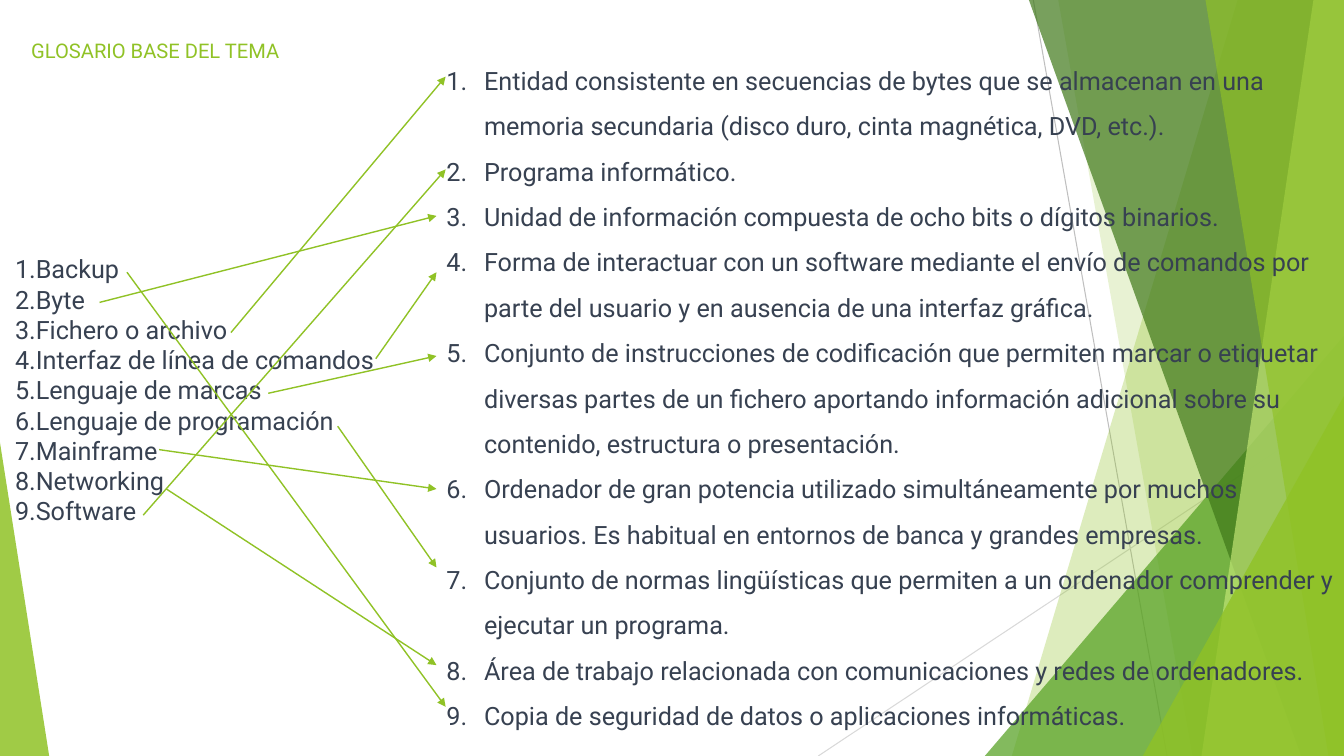
from dataclasses import dataclass
from lxml.etree import SubElement
from pptx import Presentation
from pptx.dml.color import RGBColor
from pptx.enum.shapes import MSO_CONNECTOR, MSO_SHAPE
from pptx.enum.text import MSO_ANCHOR, MSO_AUTO_SIZE, PP_ALIGN
from pptx.oxml.ns import qn
from pptx.util import Cm, Pt

WIDE, HIGH = 33.87, 19.05


@dataclass(frozen=True)
class Theme:
    font: str = "Roboto"
    head: float = 14.4
    body: float = 18
    ink: str = "374151"
    lime: str = "90C226"
    leaf: str = "54A021"
    moss: str = "3F7819"
    pale: str = "C0E474"
    gray: str = "BFBFBF"
    mist: str = "D9D9D9"


class Page:
    def __init__(self, deck, theme):
        self.theme = theme
        self.slide = deck.slides.add_slide(deck.slide_layouts[5])
        self.shapes = self.slide.shapes

    def paint(self, shape, color, alpha):
        shape.shadow.inherit = False
        shape.fill.solid()
        shape.fill.fore_color.rgb = RGBColor.from_string(color)
        tint = shape._element.spPr.find(qn("a:solidFill") + "/" + qn("a:srgbClr"))
        SubElement(tint, qn("a:alpha"), val=str(alpha * 1000))
        shape.line.fill.background()

    def band(self, top, base, color, alpha):
        """Strip from a slanted left edge to the right side of the slide."""
        form = self.shapes.build_freeform(Cm(top), 0)
        ends = [(WIDE, 0), (WIDE, HIGH), (base, HIGH)]
        form.add_line_segments([(Cm(x), Cm(y)) for x, y in ends], close=True)
        self.paint(form.convert_to_shape(), color, alpha)

    def wedge(self, left, top, width, peak, color, alpha):
        """Triangle standing on the bottom of the slide."""
        shape = self.shapes.add_shape(
            MSO_SHAPE.ISOSCELES_TRIANGLE,
            Cm(left), Cm(top), Cm(width), Cm(HIGH - top))
        shape.adjustments[0] = peak
        self.paint(shape, color, alpha)

    def line(self, start, end, color, width, arrow=False):
        line = self.shapes.add_connector(
            MSO_CONNECTOR.STRAIGHT, *[Cm(n) for n in start + end])
        line.line.color.rgb = RGBColor.from_string(color)
        line.line.width = Pt(width)
        props = line._element.spPr
        if arrow:
            SubElement(props.find(qn("a:ln")), qn("a:tailEnd"),
                       type="triangle")
        SubElement(props, qn("a:effectLst"))

    def run(self, para, text, size, color):
        run = para.add_run()
        run.text = text
        run.font.name = self.theme.font
        run.font.size = Pt(size)
        run.font.color.rgb = RGBColor.from_string(color)

    def title(self, text, left, top, width, height):
        box = self.shapes.title
        box.left, box.top = Cm(left), Cm(top)
        box.width, box.height = Cm(width), Cm(height)
        frame = box.text_frame
        frame.auto_size = MSO_AUTO_SIZE.NONE
        frame.vertical_anchor = MSO_ANCHOR.MIDDLE
        para = frame.paragraphs[0]
        para.alignment = PP_ALIGN.LEFT
        self.run(para, text, self.theme.head, self.theme.lime)

    def list(self, items, left, top, width, height, indent=0, space=1):
        box = self.shapes.add_textbox(Cm(left), Cm(top), Cm(width), Cm(height))
        frame = box.text_frame
        frame.word_wrap = True
        for i, item in enumerate(items):
            para = frame.add_paragraph() if i else frame.paragraphs[0]
            props = para._p.get_or_add_pPr()
            props.set("marL", str(Cm(indent)))
            props.set("indent", str(-Cm(indent)))
            SubElement(props, qn("a:buFont"), typeface=self.theme.font)
            SubElement(props, qn("a:buAutoNum"), type="arabicPeriod")
            para.line_spacing = float(space)
            self.run(para, item, self.theme.body, self.theme.ink)


TERMS = [
    "Backup", "Byte", "Fichero o archivo", "Interfaz de línea de comandos",
    "Lenguaje de marcas", "Lenguaje de programación", "Mainframe",
    "Networking", "Software",
]
MEANINGS = [
    "Entidad consistente en secuencias de bytes que se almacenan en una "
    "memoria secundaria (disco duro, cinta magnética, DVD, etc.).",
    "Programa informático.",
    "Unidad de información compuesta de ocho bits o dígitos binarios.",
    "Forma de interactuar con un software mediante el envío de comandos por "
    "parte del usuario y en ausencia de una interfaz gráfica.",
    "Conjunto de instrucciones de codificación que permiten marcar o "
    "etiquetar diversas partes de un fichero aportando información adicional "
    "sobre su contenido, estructura o presentación.",
    "Ordenador de gran potencia utilizado simultáneamente por muchos "
    "usuarios. Es habitual en entornos de banca y grandes empresas.",
    "Conjunto de normas lingüísticas que permiten a un ordenador comprender "
    "y ejecutar un programa.",
    "Área de trabajo relacionada con comunicaciones y redes de ordenadores.",
    "Copia de seguridad de datos o aplicaciones informáticas.",
]
# One arrow per term: start, then end beside its meaning
LINKS = [
    ((3.2, 6.86), (11.23, 17.81)),
    ((2.51, 7.62), (11, 5.44)),
    ((5.82, 8.38), (11.23, 1.93)),
    ((9.47, 9.04), (11, 6.86)),
    ((6.76, 9.91), (11, 8.97)),
    ((8.51, 10.74), (11, 14.3)),
    ((4.01, 11.33), (11, 12.32)),
    ((4.19, 12.32), (11, 16.76)),
    ((3.61, 12.98), (11.23, 4.27)),
]


def main():
    deck = Presentation()
    deck.slide_width, deck.slide_height = Cm(WIDE), Cm(HIGH)
    theme = Theme()
    page = Page(deck, theme)

    # Green backdrop
    page.line((26.04, 0), (29.41, HIGH), theme.gray, 0.75)
    page.line((WIDE, 10.24), (20.62, HIGH), theme.mist, 0.75)
    page.band(31.19, 25.5, theme.lime, 30)
    page.band(26.67, 30.05, theme.lime, 20)
    page.wedge(24.82, 8.46, 9.05, 1, theme.leaf, 72)
    page.band(25.93, 32.79, theme.moss, 70)
    page.band(33.1, 30.28, theme.pale, 70)
    page.band(30.38, 33.48, theme.lime, 65)
    page.wedge(28.8, 9.98, 5.07, 1, theme.lime, 80)
    page.wedge(0, 11.15, 1.24, 0, theme.lime, 85)

    # Title and both lists
    page.title("GLOSARIO BASE DEL TEMA", 0.53, 0.79, 7.32, 0.94)
    page.list(TERMS, 0.13, 6.27, 10.87, 7.19)
    page.list(MEANINGS, 11, 1.14, 22.87, 17.42, indent=0.95, space=1.5)

    # Arrows from term to meaning
    for start, end in LINKS:
        page.line(start, end, theme.lime, 1, arrow=True)

    deck.save("out.pptx")


if __name__ == "__main__":
    main()
